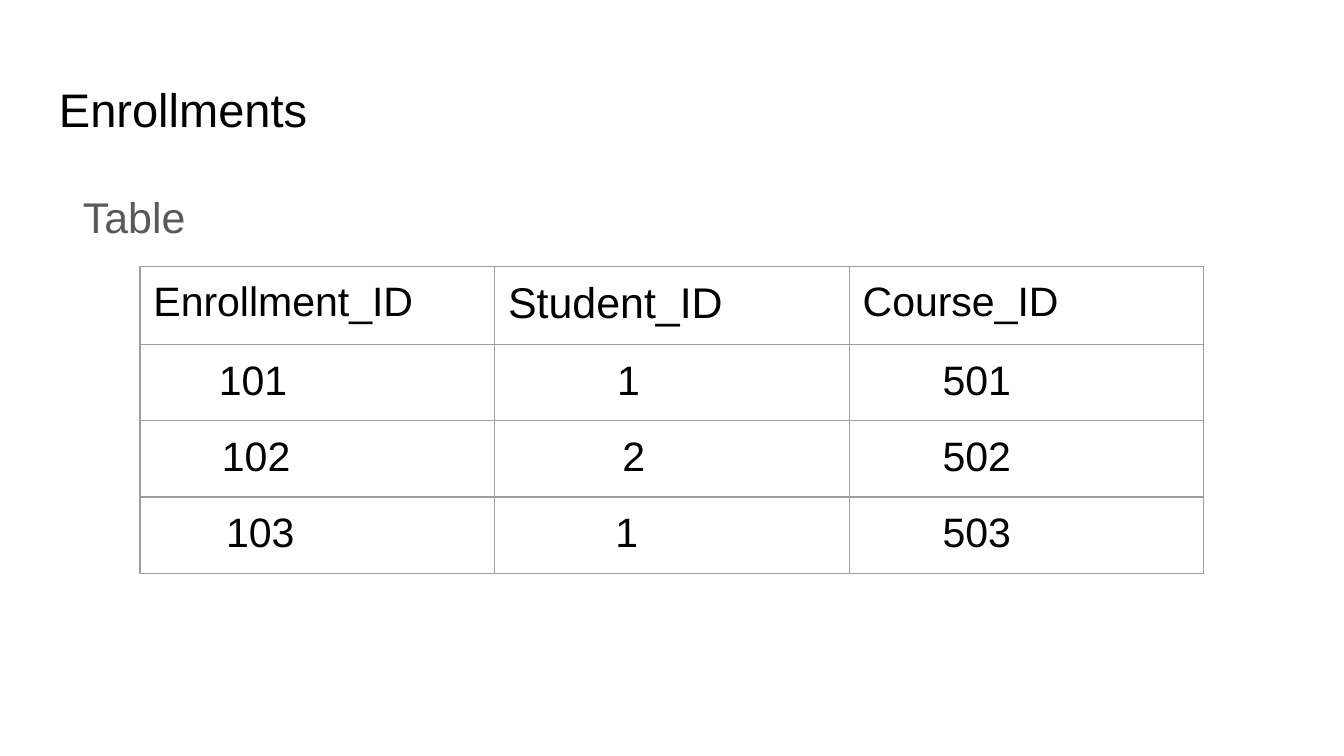
from typing import NamedTuple

from lxml.etree import SubElement
from pptx import Presentation
from pptx.dml.color import RGBColor
from pptx.enum.text import MSO_ANCHOR
from pptx.oxml.ns import qn
from pptx.util import Pt

FONT = "Arial"
BLACK = RGBColor(0x00, 0x00, 0x00)
GRAY = RGBColor(0x59, 0x59, 0x59)
BORDER = RGBColor(0x9E, 0x9E, 0x9E)
INSET = Pt(7.2)
COLUMN_WIDTH = 190
ROW_HEIGHTS = (40.2, 39, 39, 40.2)


class Heading(NamedTuple):
    text: str
    top: float
    height: float
    size: float
    color: RGBColor
    anchor: MSO_ANCHOR
    indent: float = 0
    line_spacing: float = 1


class Entry(NamedTuple):
    text: str
    indent: float = 0
    size: float = 22


HEADINGS = (
    Heading("Enrollments", 35.3, 45.4, 25.2, BLACK, MSO_ANCHOR.BOTTOM),
    Heading("Table", 90.7, 269.3, 23, GRAY, MSO_ANCHOR.TOP, 12.8, 1.15),
)

ENROLLMENTS = (
    (Entry("Enrollment_ID"), Entry("Student_ID", size=23), Entry("Course_ID")),
    (Entry("101", 35), Entry("1", 58.4), Entry("501", 42.8)),
    (Entry("102", 36.7), Entry("2", 61.2), Entry("502", 42.8)),
    (Entry("103", 38.9), Entry("1", 57.5), Entry("503", 42.8)),
)


def format_text(frame, size: float, color: RGBColor, indent: float) -> None:
    paragraph = frame.paragraphs[0]
    paragraph._p.get_or_add_pPr().set("marL", str(Pt(indent)))
    font = paragraph.runs[0].font
    font.name, font.size, font.color.rgb = FONT, Pt(size), color


def set_insets(target) -> None:
    target.margin_left = target.margin_right = INSET
    target.margin_top = target.margin_bottom = INSET


def add_heading(slide, heading: Heading) -> None:
    box = slide.shapes.add_textbox(Pt(24.5), Pt(heading.top), Pt(671), Pt(heading.height))
    frame = box.text_frame
    frame.word_wrap = True
    frame.vertical_anchor = heading.anchor
    set_insets(frame)
    frame.text = heading.text
    frame.paragraphs[0].line_spacing = heading.line_spacing
    format_text(frame, heading.size, heading.color, heading.indent)


def add_borders(cell) -> None:
    properties = cell._tc.get_or_add_tcPr()
    for position, side in enumerate(("a:lnL", "a:lnR", "a:lnT", "a:lnB")):
        line = SubElement(properties, qn(side), w=str(Pt(0.75)))
        fill = SubElement(line, qn("a:solidFill"))
        SubElement(fill, qn("a:srgbClr"), val=str(BORDER))
        # Borders come before the cell fill
        properties.insert(position, line)


def add_enrollment_table(slide) -> None:
    rows, columns = len(ENROLLMENTS), len(ENROLLMENTS[0])
    table = slide.shapes.add_table(
        rows, columns, Pt(75), Pt(142.6), Pt(COLUMN_WIDTH * columns), Pt(sum(ROW_HEIGHTS))
    ).table
    table.first_row = table.horz_banding = False
    for column in table.columns:
        column.width = Pt(COLUMN_WIDTH)
    for row, height, entries in zip(table.rows, ROW_HEIGHTS, ENROLLMENTS):
        row.height = Pt(height)
        for cell, entry in zip(row.cells, entries):
            set_insets(cell)
            cell.fill.background()
            cell.text_frame.text = entry.text
            format_text(cell.text_frame, entry.size, BLACK, entry.indent)
            add_borders(cell)


def main() -> None:
    presentation = Presentation()
    presentation.slide_width, presentation.slide_height = Pt(720), Pt(405)
    slide = presentation.slides.add_slide(presentation.slide_layouts[6])

    # Title and subtitle
    for heading in HEADINGS:
        add_heading(slide, heading)

    # Enrollment records
    add_enrollment_table(slide)

    presentation.save("out.pptx")


if __name__ == "__main__":
    main()
